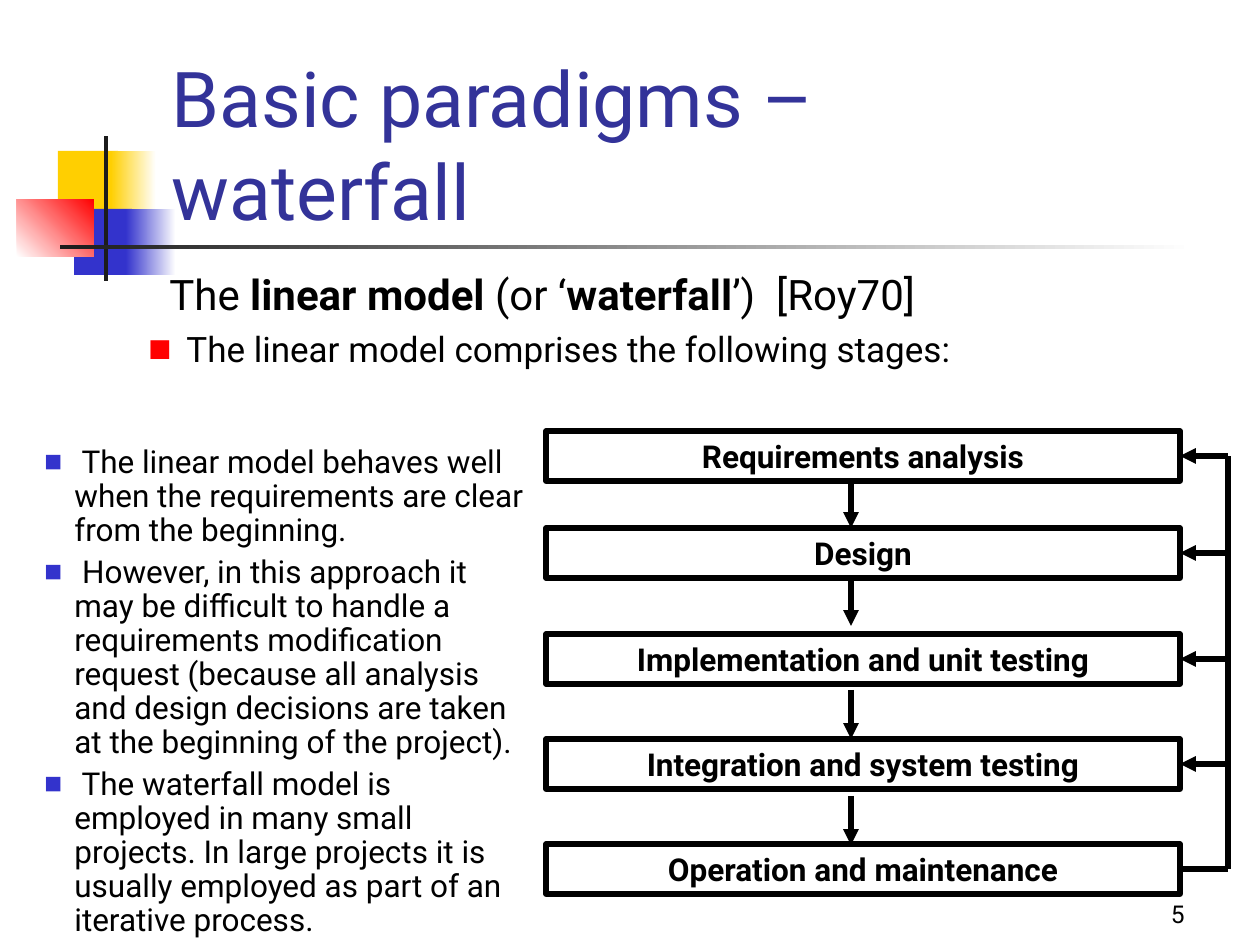
from lxml import etree
from pptx import Presentation, util as u
from pptx.dml.color import RGBColor
from pptx.enum import shapes, text
from pptx.oxml.ns import qn

PX = 914400 / 126
FONT = "Roboto"
BLACK = "000000"


def px(value):
    return u.Emu(round(value * PX))


def color(hex_string):
    return RGBColor.from_string(hex_string)


def add_run(paragraph, words, size, hex_color=BLACK, bold=False):
    run = paragraph.add_run()
    run.text = words
    run.font.name = FONT
    run.font.size = u.Pt(size)
    run.font.bold = bold
    run.font.color.rgb = color(hex_color)


def set_indent(paragraph, left, first=0):
    properties = paragraph._p.get_or_add_pPr()
    properties.set("marL", str(px(left)))
    properties.set("indent", str(px(first)))


def add_bullet(paragraph, hex_color, percent, hang):
    set_indent(paragraph, hang, -hang)
    properties = paragraph._p.get_or_add_pPr()
    bullet_color = etree.SubElement(properties, qn("a:buClr"))
    etree.SubElement(bullet_color, qn("a:srgbClr")).set("val", hex_color)
    etree.SubElement(properties, qn("a:buSzPct")).set("val", str(percent * 1000))
    etree.SubElement(properties, qn("a:buFont")).set("typeface", FONT)
    etree.SubElement(properties, qn("a:buChar")).set("char", "■")


def add_text_frame(slide, left, top, width, height):
    frame = slide.shapes.add_textbox(px(left), px(top), px(width), px(height)).text_frame
    frame.word_wrap = True
    return frame


def add_rectangle(slide, left, top, width, height):
    shape = slide.shapes.add_shape(
        shapes.MSO_SHAPE.RECTANGLE, px(left), px(top), px(width), px(height))
    shape.shadow.inherit = False
    return shape


def add_line(slide, start, end, arrow=False):
    line = slide.shapes.add_connector(
        shapes.MSO_CONNECTOR.STRAIGHT, *[px(value) for value in (*start, *end)])
    line.line.color.rgb = color(BLACK)
    line.line.width = u.Pt(3)
    if arrow:
        etree.SubElement(line.line._get_or_add_ln(), qn("a:tailEnd")).set("type", "triangle")
    etree.SubElement(line._element.spPr, qn("a:effectLst"))
    return line


def add_ornament(slide, left, top):
    # left, top, width, height, colours from start to end, gradient angle
    blocks = [
        (41, 15, 60, 66, ["FFCF01"], 0),
        (94, 15, 45, 66, ["FFCF01", "FFFFFF"], 0),
        (57, 73, 58, 66, ["3333CC"], 0),
        (109, 73, 50, 66, ["3333CC", "FFFFFF"], 0),
        (0, 63, 77, 58, ["FFFFFF", "FF0000"], 45),
        (87, 0, 4, 145, ["1C1C1C"], 0),
        (43, 109, 1134, 4, ["1C1C1C", "FFFFFF"], 0),
    ]
    for x, y, width, height, colors, angle in blocks:
        block = add_rectangle(slide, left + x, top + y, width, height)
        block.line.fill.background()
        if len(colors) == 1:
            block.fill.solid()
            block.fill.fore_color.rgb = color(colors[0])
        else:
            block.fill.gradient()
            block.fill.gradient_angle = angle
            for stop, hex_color in zip(block.fill.gradient_stops, colors):
                stop.color.rgb = color(hex_color)


def add_title(slide, left, top, width, height):
    title = slide.shapes.title
    slide.shapes._spTree.append(title._element)  # in front of the ornament
    title.left, title.top, title.width, title.height = map(px, (left, top, width, height))
    frame = title.text_frame
    frame.auto_size = text.MSO_AUTO_SIZE.NONE
    frame.vertical_anchor = text.MSO_ANCHOR.BOTTOM
    paragraph = frame.paragraphs[0]
    paragraph.alignment = text.PP_ALIGN.LEFT
    add_run(paragraph, "Basic paradigms –", 44, "333399")
    paragraph.add_line_break()
    add_run(paragraph, "waterfall", 44, "333399")


def add_introduction(slide, left, top, width, height):
    frame = add_text_frame(slide, left, top, width, height)
    heading = frame.paragraphs[0]
    set_indent(heading, 21)
    for words, bold in [("The ", False), ("linear model", True), (" (or ‘", False),
                        ("waterfall", True), ("’)  [Roy70]", False)]:
        add_run(heading, words, 24, bold=bold)
    point = frame.add_paragraph()
    add_bullet(point, "FF0000", 70, 30)
    point.space_before = u.Pt(5)
    add_run(point, " The linear model comprises the following stages:", 20)


def add_remarks(slide, left, top, width, height):
    remarks = [
        " The linear model behaves well when the requirements are clear from the beginning.",
        " However, in this approach it may be difficult to handle a requirements modification "
        "request (because all analysis and design decisions are taken at the beginning of "
        "the project).",
        " The waterfall model is employed in many small projects. In large projects it is "
        "usually employed as part of an iterative process.",
    ]
    frame = add_text_frame(slide, left, top, width, height)
    for index, remark in enumerate(remarks):
        paragraph = frame.add_paragraph() if index else frame.paragraphs[0]
        add_bullet(paragraph, "3333CC", 60, 30)
        paragraph.line_spacing = 0.9
        if index:
            paragraph.space_before = u.Pt(4.5)
        add_run(paragraph, remark, 18)


def add_waterfall(slide, left, top, width, stage_height):
    stages = [
        ("Requirements analysis", 0),
        ("Design", 97),
        ("Implementation and unit testing", 203),
        ("Integration and system testing", 308),
        ("Operation and maintenance", 413),
    ]
    boxes = []
    for name, y in stages:
        box = add_rectangle(slide, left, top + y, width, stage_height)
        box.fill.background()
        box.line.color.rgb = color(BLACK)
        box.line.width = u.Pt(3)
        box.text_frame.word_wrap = True
        box.text_frame.vertical_anchor = text.MSO_ANCHOR.MIDDLE
        paragraph = box.text_frame.paragraphs[0]
        paragraph.alignment = text.PP_ALIGN.CENTER
        add_run(paragraph, name, 18, bold=True)
        boxes.append(box)

    arrow_x = left + 305
    for y in (48, 146, 259, 365):
        add_line(slide, (arrow_x, top + y), (arrow_x, top + y + 49), arrow=True)

    right = left + width
    feedback_x = right + 48
    middles = [top + y + stage_height // 2 for _, y in stages]
    exit_line = add_line(slide, (right, middles[-1]), (feedback_x, middles[-1]))
    exit_line.begin_connect(boxes[-1], 3)
    add_line(slide, (feedback_x, middles[-1]), (feedback_x, middles[0]))
    for box, middle in zip(boxes[:-1], middles):
        feedback = add_line(slide, (feedback_x, middle), (right, middle), arrow=True)
        feedback.end_connect(box, 3)


def add_page_number(slide, left, top, width, height):
    frame = add_text_frame(slide, left, top, width, height)
    frame.vertical_anchor = text.MSO_ANCHOR.BOTTOM
    paragraph = frame.paragraphs[0]
    paragraph.alignment = text.PP_ALIGN.RIGHT
    add_run(paragraph, "5", 14)


def main():
    presentation = Presentation()
    presentation.slide_width, presentation.slide_height = px(1260), px(945)
    slide = presentation.slides.add_slide(presentation.slide_layouts[5])
    add_ornament(slide, 17, 136)
    add_page_number(slide, 935, 872, 262, 63)
    add_title(slide, 159, 84, 1074, 158)
    add_waterfall(slide, 546, 431, 634, 50)
    add_introduction(slide, 136, 262, 1061, 115)
    add_remarks(slide, 32, 440, 514, 505)
    presentation.save("out.pptx")


if __name__ == "__main__":
    main()
